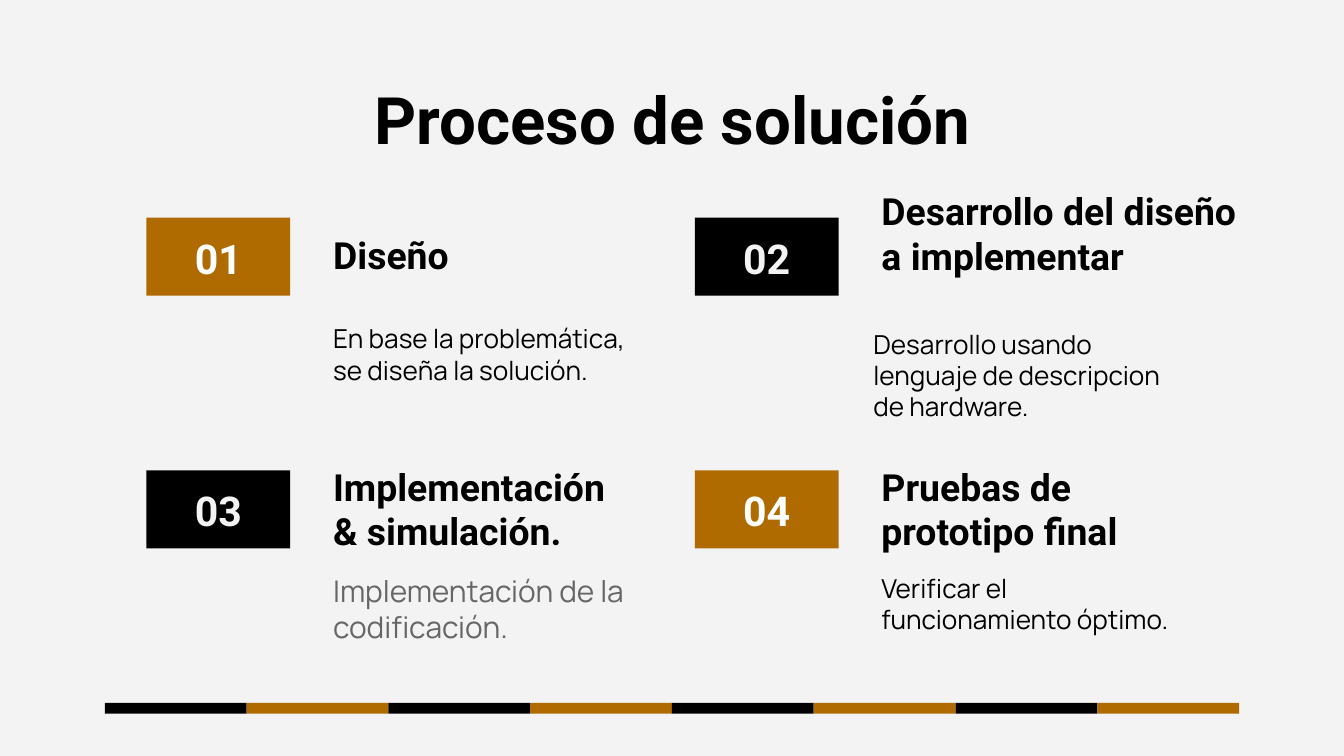
from pptx import Presentation
from pptx.dml.color import RGBColor
from pptx.enum.shapes import MSO_SHAPE
from pptx.enum.text import MSO_ANCHOR, MSO_AUTO_SIZE, PP_ALIGN
from pptx.util import Pt

RECTANGLE = MSO_SHAPE.RECTANGLE
TOP, BOTTOM = MSO_ANCHOR.TOP, MSO_ANCHOR.BOTTOM
LEFT, CENTER = PP_ALIGN.LEFT, PP_ALIGN.CENTER
NO_AUTOFIT = MSO_AUTO_SIZE.NONE

PX = 9144  # 100 px to the inch
COLORS = {"paper": "F3F3F3", "black": "000000", "ochre": "AF6B00",
          "white": "FFFFFF", "gray": "666666"}

# Content
TITLE = "Proceso de solución"
# number, box colour, number colour, heading, heading (dy, width, height),
# description, description (dx, top), description format
STEPS = [
    ("01", "ochre", "white", "Diseño", (1, 199, 63),
     "En base la problemática, se diseña la solución.", (0, 230), "body"),
    ("02", "black", "paper", "Desarrollo del diseño a implementar", (-32, 288, 82),
     "Desarrollo usando lenguaje de descripcion de hardware.", (-6, 234), "body"),
    ("03", "black", "paper", "Implementación & simulación.", (-15, 245, 82),
     "Implementación de la codificación.", (0, 416), "muted"),
    ("04", "ochre", "white", "Pruebas de prototipo final", (-15, 245, 82),
     "Verificar el funcionamiento óptimo.", (0, 416), "body"),
]
FORMATS = {
    "title": {"name": "Roboto", "size": Pt(35), "bold": True},
    "number": {"name": "Roboto", "size": Pt(22), "bold": True},
    "heading": {"name": "Roboto", "size": Pt(20), "bold": True},
    "body": {"name": "Manrope", "size": Pt(14), "bold": False},
    "muted": {"name": "Manrope", "size": Pt(16), "bold": False},
}

# Layout
GRID_LEFT, GRID_TOP, COLUMN_STEP, ROW_STEP = 109, 162, 408, 188
NUMBER_WIDTH, NUMBER_HEIGHT, TEXT_OFFSET = 107, 58, 129
DESCRIPTION_WIDTH, DESCRIPTION_HEIGHT = 245, 53
BAR_LEFT, BAR_TOP, BAR_WIDTH, BAR_HEIGHT, BAR_PARTS = 78, 523, 844, 8, 8


def color(name):
    return RGBColor.from_string(COLORS[name])


def emu(*lengths):
    return [round(length * PX) for length in lengths]


def write(shape, text, style, text_color="black", align=LEFT, anchor=TOP):
    frame = shape.text_frame
    settings = {"word_wrap": True, "auto_size": NO_AUTOFIT, "vertical_anchor": anchor}
    for side in ("left", "top", "right", "bottom"):
        settings["margin_" + side] = 10 * PX
    for key, value in settings.items():
        setattr(frame, key, value)
    paragraph = frame.paragraphs[0]
    paragraph.alignment = align
    run = paragraph.add_run()
    run.text = text
    for key, value in FORMATS[style].items():
        setattr(run.font, key, value)
    run.font.color.rgb = color(text_color)


def add_rectangle(slide, box, fill):
    shape = slide.shapes.add_shape(RECTANGLE, *emu(*box))
    shape.shadow.inherit = False
    shape.fill.solid()
    shape.fill.fore_color.rgb = color(fill)
    shape.line.fill.background()
    return shape


def add_text(slide, box, text, style, text_color="black"):
    write(slide.shapes.add_textbox(*emu(*box)), text, style, text_color)


presentation = Presentation()
presentation.slide_width, presentation.slide_height = emu(1000, 562.5)
slide = presentation.slides.add_slide(presentation.slide_layouts[5])
slide.background.fill.solid()
slide.background.fill.fore_color.rgb = color("paper")

# Title
title = slide.shapes.title
title.left, title.top, title.width, title.height = emu(79, 49, 843, 63)
write(title, TITLE, "title", align=CENTER)

# Striped bar at the foot
part_width = BAR_WIDTH / BAR_PARTS
for index in range(BAR_PARTS):
    add_rectangle(slide, (BAR_LEFT + index * part_width, BAR_TOP, part_width, BAR_HEIGHT),
                  ("black", "ochre")[index % 2])

# Steps in two columns
for index, step in enumerate(STEPS):
    number, fill, number_color, heading, heading_box, description, place, style = step
    row, column = divmod(index, 2)
    left = GRID_LEFT + column * COLUMN_STEP
    top = GRID_TOP + row * ROW_STEP
    text_left = left + TEXT_OFFSET
    heading_dy, heading_width, heading_height = heading_box
    description_dx, description_top = place

    number_box = add_rectangle(slide, (left, top, NUMBER_WIDTH, NUMBER_HEIGHT), fill)
    write(number_box, number, "number", number_color, CENTER, BOTTOM)
    add_text(slide, (text_left, top + heading_dy, heading_width, heading_height),
             heading, "heading")
    add_text(slide, (text_left + description_dx, description_top,
                     DESCRIPTION_WIDTH, DESCRIPTION_HEIGHT),
             description, style, "gray" if style == "muted" else "black")

presentation.save("out.pptx")
